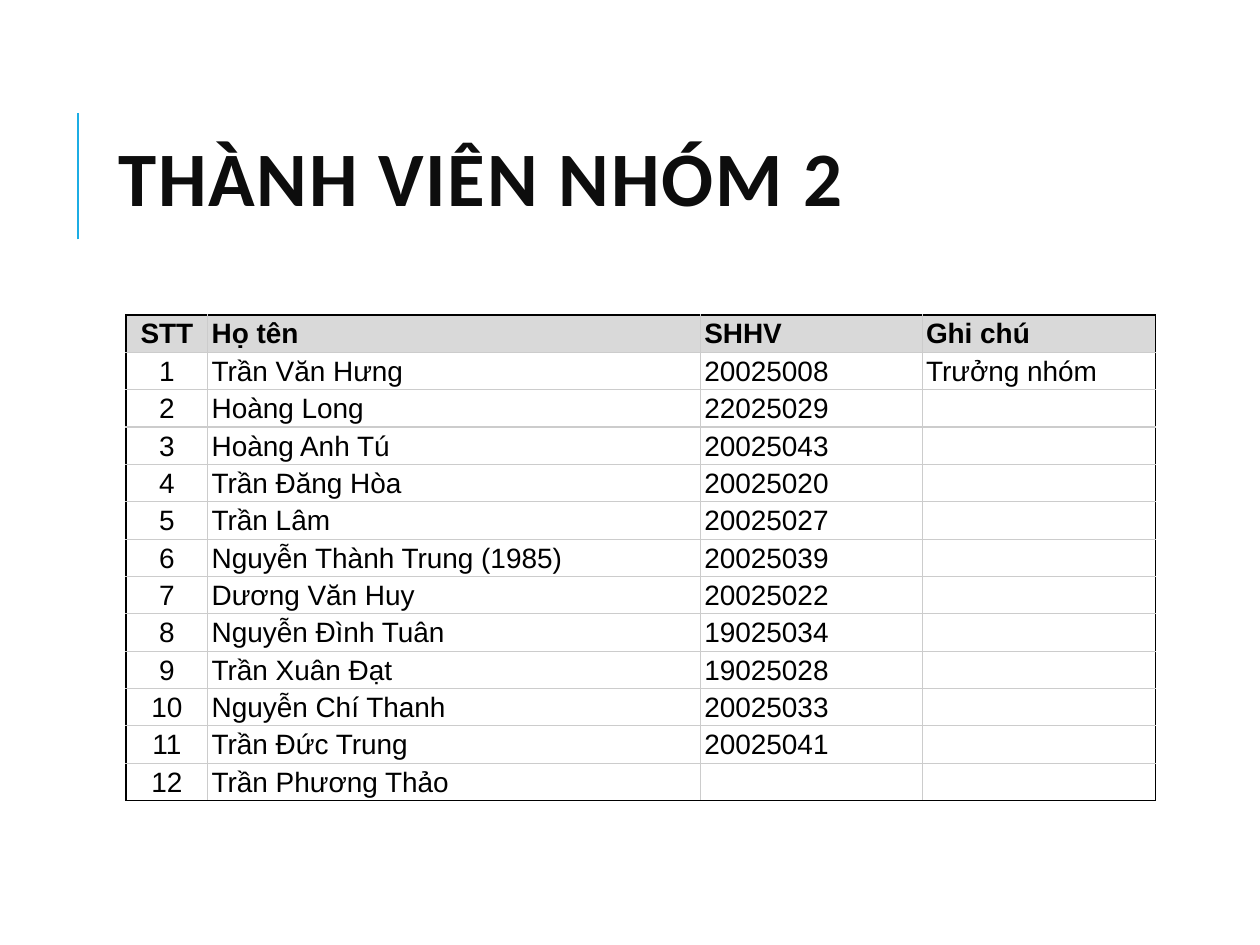
from dataclasses import dataclass

from lxml.etree import SubElement
from pptx import Presentation
from pptx.dml.color import RGBColor
from pptx.enum.shapes import MSO_CONNECTOR as Connector
from pptx.enum.text import MSO_ANCHOR as Anchor, PP_ALIGN as Align
from pptx.oxml import parse_xml
from pptx.oxml.ns import nsdecls, qn
from pptx.util import Inches, Pt

COLORS = {
    "accent": "1CADE4",
    "title": "0D0D0D",
    "text": "000000",
    "header": "D9D9D9",
    "body": "FFFFFF",
    "grid": "CCCCCC",
    "frame": "000000",
}


@dataclass
class Member:
    """One member of the group."""
    name: str
    code: str = ""
    note: str = ""


HEADINGS = ("STT", "Họ tên", "SHHV", "Ghi chú")
COLUMN_WIDTHS = (0.65, 3.91, 1.76, 1.85)
TABLE_LEFT, TABLE_TOP, TABLE_HEIGHT = 1, 2.5, 3.75
MEMBERS = [
    Member("Trần Văn Hưng", "20025008", "Trưởng nhóm"),
    Member("Hoàng Long", "22025029"),
    Member("Hoàng Anh Tú", "20025043"),
    Member("Trần Đăng Hòa", "20025020"),
    Member("Trần Lâm", "20025027"),
    Member("Nguyễn Thành Trung (1985)", "20025039"),
    Member("Dương Văn Huy", "20025022"),
    Member("Nguyễn Đình Tuân", "19025034"),
    Member("Trần Xuân Đạt", "19025028"),
    Member("Nguyễn Chí Thanh", "20025033"),
    Member("Trần Đức Trung", "20025041"),
    Member("Trần Phương Thảo"),
]


def color(name: str) -> RGBColor:
    """Return a colour of the palette."""
    return RGBColor.from_string(COLORS[name])


def write_text(frame, text: str, *, size: float, font: str = "Arial",
               fill: str = "text", bold: bool = False, align=Align.LEFT,
               line_spacing: float = 1.0, tracking: float = 0) -> None:
    """Write one formatted paragraph into a text frame."""
    paragraph = frame.paragraphs[0]
    paragraph.alignment = align
    paragraph.line_spacing = line_spacing
    if not text:
        # An empty cell keeps its row low through its end mark.
        end_mark = SubElement(paragraph._p, qn("a:endParaRPr"))
        end_mark.set("sz", str(int(size * 100)))
        return
    run = paragraph.add_run()
    run.text = text
    run.font.name = font
    run.font.size = Pt(size)
    run.font.bold = bold
    run.font.color.rgb = color(fill)
    if tracking:
        run.font._element.set("spc", str(int(tracking * 100)))


def add_title(slide, text: str) -> None:
    """Add the title and the accent line to its left."""
    line = slide.shapes.add_connector(
        Connector.STRAIGHT, Inches(0.62), Inches(1.9), Inches(0.62), Inches(0.9))
    line.line.color.rgb = color("accent")
    line.line.width = Pt(1.5)
    SubElement(line._element.spPr, qn("a:effectLst"))

    box = slide.shapes.add_textbox(
        Inches(0.84), Inches(0.64), Inches(7.97), Inches(1.64))
    box.text_frame.word_wrap = True
    box.text_frame.vertical_anchor = Anchor.MIDDLE
    write_text(box.text_frame, text, size=44, font="Calibri", fill="title",
               bold=True, line_spacing=0.8, tracking=1)


def set_borders(cell, outer: dict[str, bool]) -> None:
    """Draw the four cell borders, dark on the outer sides."""
    properties = cell._tc.get_or_add_tcPr()
    for index, (side, is_outer) in enumerate(outer.items()):
        value = COLORS["frame" if is_outer else "grid"]
        properties.insert(index, parse_xml(
            f'<a:ln{side} {nsdecls("a")} w="{Pt(0.75)}"><a:solidFill>'
            f'<a:srgbClr val="{value}"/></a:solidFill></a:ln{side}>'))


def add_member_table(slide, members: list[Member]) -> None:
    """Add the numbered table of members."""
    rows = [HEADINGS] + [
        (str(number), member.name, member.code, member.note)
        for number, member in enumerate(members, 1)]
    last_row, last_column = len(rows) - 1, len(HEADINGS) - 1
    table = slide.shapes.add_table(
        len(rows), len(HEADINGS), Inches(TABLE_LEFT), Inches(TABLE_TOP),
        Inches(sum(COLUMN_WIDTHS)), Inches(TABLE_HEIGHT)).table
    table.first_row = table.horz_banding = False
    for column, width in zip(table.columns, COLUMN_WIDTHS):
        column.width = Inches(width)

    for r, values in enumerate(rows):
        table.rows[r].height = Inches(TABLE_HEIGHT / len(rows))
        for c, value in enumerate(values):
            cell = table.cell(r, c)
            cell.margin_left = cell.margin_right = Inches(0.03)
            cell.margin_top, cell.margin_bottom = Inches(0.01), Inches(0.02)
            cell.vertical_anchor = Anchor.BOTTOM
            cell.fill.solid()
            cell.fill.fore_color.rgb = color("body" if r else "header")
            write_text(cell.text_frame, value, size=16, bold=r == 0,
                       align=Align.LEFT if c else Align.CENTER)
            set_borders(cell, {"L": c == 0, "R": c == last_column,
                               "T": r == 0, "B": r == last_row})


def main() -> None:
    """Build and save the slide."""
    presentation = Presentation()
    presentation.slide_width = Inches(10)
    presentation.slide_height = Inches(7.5)
    slide = presentation.slides.add_slide(presentation.slide_layouts[6])
    add_title(slide, "THÀNH VIÊN NHÓM 2")
    add_member_table(slide, MEMBERS)
    presentation.save("out.pptx")


main()
